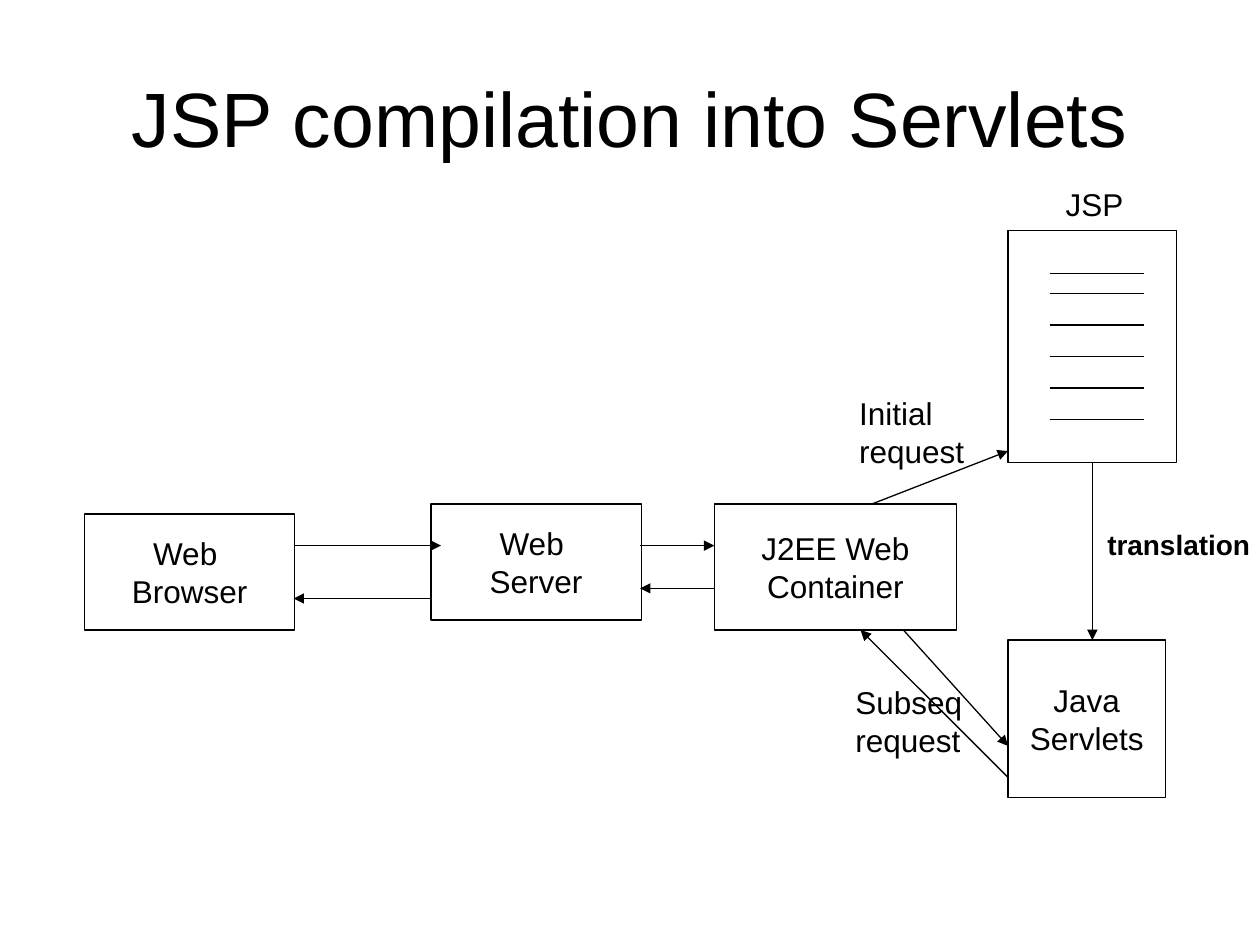
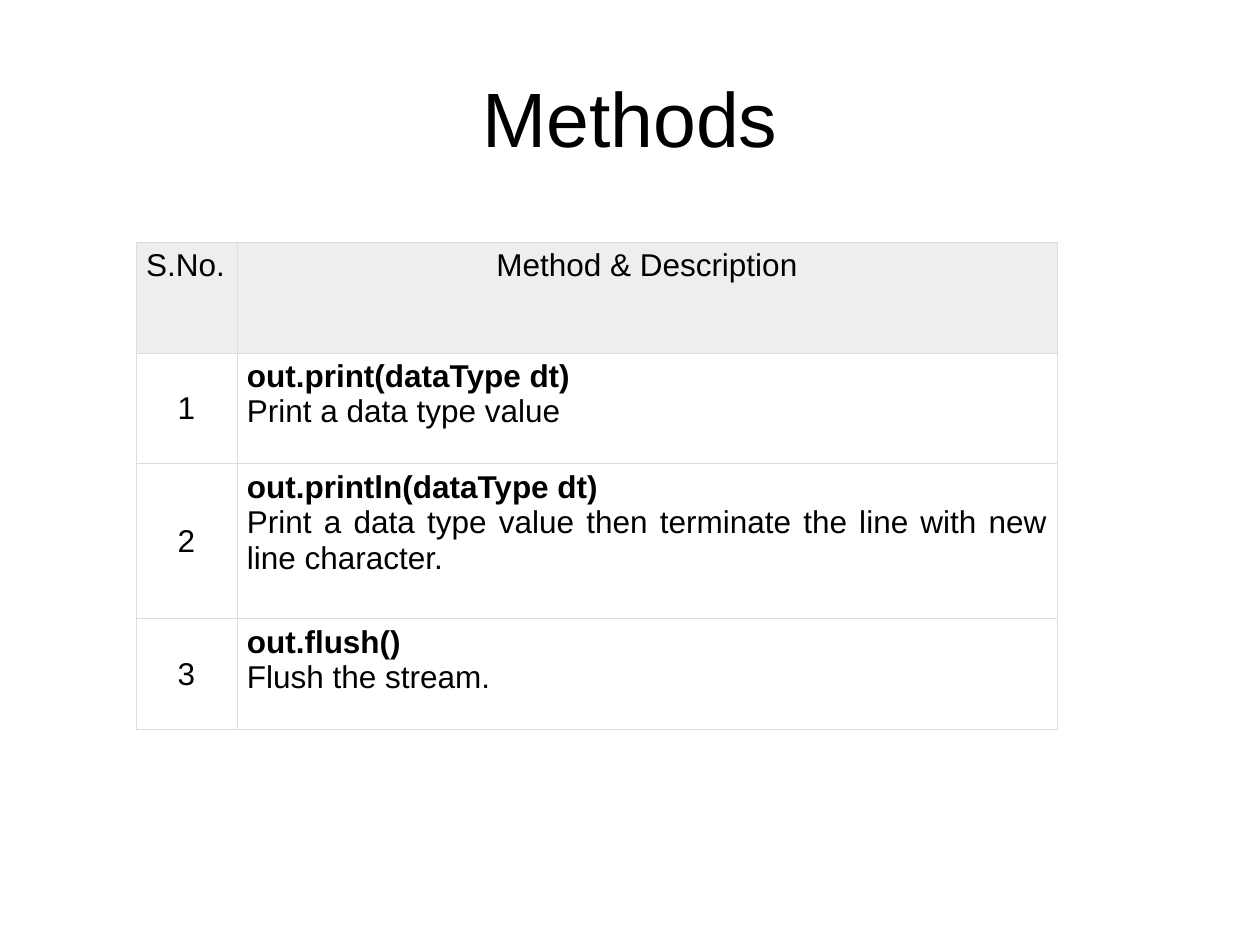
from lxml import etree
from pptx import Presentation
from pptx.dml.color import RGBColor
from pptx.enum import shapes, text
from pptx.oxml.ns import qn
from pptx.util import Inches, Pt

BLACK = RGBColor(0x00, 0x00, 0x00)
HEAD = RGBColor(0xEE, 0xEE, 0xEE)
GRID = RGBColor(0xDD, 0xDD, 0xDD)
FONT = "Arial"
LEFT, MID, JUST = text.PP_ALIGN.LEFT, text.PP_ALIGN.CENTER, text.PP_ALIGN.JUSTIFY

# Boxes: lines of text, then left, top, width, height
BOXES = {
    "browser": (["Web ", "Browser"], (0.67, 4.08, 1.67, 0.92)),
    "server": (["Web ", "Server"], (3.42, 4, 1.67, 0.92)),
    "container": (["J2EE Web", "Container"], (5.67, 4, 1.92, 1)),
    "jsp": ([], (8, 1.83, 1.34, 1.84)),
    "servlets": (["Java", "Servlets"], (8, 5.08, 1.25, 1.25)),
}
# Labels: lines of text, place, size, bold
LABELS = [
    (["JSP"], (8.36, 1.42, 0.66, 0.4), 18, False),
    (["translation"], (8.69, 4.14, 1.33, 0.37), 16, True),
    (["Initial", "request"], (6.72, 3.08, 1.06, 0.7), 18, False),
    (["Subseq", "request"], (6.69, 5.37, 1.06, 0.7), 18, False),
]
# Arrows: from x, y to x, y
ARROWS = [
    (2.33, 4.33, 3.5, 4.33),
    (3.42, 4.75, 2.33, 4.75),
    (5.08, 4.33, 5.67, 4.33),
    (5.67, 4.67, 5.08, 4.67),
    (6.92, 4, 8, 3.58),
    (7.17, 5, 8, 5.92),
    (8, 6.17, 6.83, 5),
]
TRANSLATE = (8.67, 3.67, 8.67, 5.08)
# Lines of writing on the JSP page
PAGE_ROWS = [2.17] + [2.33 + 0.25 * n for n in range(5)]

HEADS = ["S.No.", "Method & Description"]
METHODS = [
    ("out.print(dataType dt)", "Print a data type value"),
    ("out.println(dataType dt)",
     "Print a data type value then terminate the line with new line character."),
    ("out.flush()", "Flush the stream."),
]
COLS = [0.8, 6.51]
ROWS = [0.88, 0.88, 1.23, 0.88]


def write(frame, lines, align, size=18, bold=()):
    """Write one paragraph a line; bold holds the numbers of the bold lines."""
    for n, line in enumerate(lines):
        para = frame.paragraphs[0] if n == 0 else frame.add_paragraph()
        para.alignment = align
        run = para.add_run()
        run.text = line
        font = run.font
        font.name, font.size, font.bold = FONT, Pt(size), n in bold
        font.color.rgb = BLACK


def add_slide(prs, title):
    slide = prs.slides.add_slide(prs.slide_layouts[5])
    head = slide.shapes.title
    head.left, head.top, head.width, head.height = map(Inches, (0.5, 0.3, 9, 1.25))
    head.text_frame.vertical_anchor = text.MSO_ANCHOR.MIDDLE
    write(head.text_frame, [title], MID, 44)
    return slide


def add_box(slide, lines, place):
    box = slide.shapes.add_shape(shapes.MSO_SHAPE.RECTANGLE, *map(Inches, place))
    box.shadow.inherit = False
    box.fill.background()
    box.line.color.rgb = BLACK
    box.line.width = Pt(0.75)
    frame = box.text_frame
    frame.word_wrap = False
    frame.vertical_anchor = text.MSO_ANCHOR.MIDDLE
    write(frame, lines, MID)
    return box


def add_label(slide, lines, place, size, bold):
    frame = slide.shapes.add_textbox(*map(Inches, place)).text_frame
    frame.word_wrap = False
    frame.auto_size = text.MSO_AUTO_SIZE.SHAPE_TO_FIT_TEXT
    write(frame, lines, LEFT, size, range(len(lines)) if bold else ())


def add_line(slide, ends, arrow=False):
    line = slide.shapes.add_connector(shapes.MSO_CONNECTOR.STRAIGHT, *map(Inches, ends))
    line.line.color.rgb = BLACK
    line.line.width = Pt(0.75)
    if arrow:
        etree.SubElement(line.line._get_or_add_ln(), qn("a:tailEnd"), type="triangle")
    etree.SubElement(line._element.spPr, qn("a:effectLst"))
    return line


def add_borders(cell):
    props = cell._tc.get_or_add_tcPr()
    for n, side in enumerate(("a:lnL", "a:lnR", "a:lnT", "a:lnB")):
        edge = etree.Element(qn(side), w=str(Pt(0.34)))
        fill = etree.SubElement(edge, qn("a:solidFill"))
        etree.SubElement(fill, qn("a:srgbClr"), val=str(GRID))
        props.insert(n, edge)


def draw_flow(prs):
    slide = add_slide(prs, "JSP compilation into Servlets")
    boxes = {name: add_box(slide, *data) for name, data in BOXES.items()}
    for y in PAGE_ROWS:
        add_line(slide, (8.33, y, 9.08, y))
    for ends in ARROWS:
        add_line(slide, ends, True)
    add_line(slide, TRANSLATE, True).begin_connect(boxes["jsp"], 2)
    for label in LABELS:
        add_label(slide, *label)


def draw_methods(prs):
    slide = add_slide(prs, "Methods")
    place = (1.08, 1.92, sum(COLS), sum(ROWS))
    table = slide.shapes.add_table(len(ROWS), len(COLS), *map(Inches, place)).table
    table.first_row = table.horz_banding = False
    for col, width in zip(table.columns, COLS):
        col.width = Inches(width)
    for row, height in zip(table.rows, ROWS):
        row.height = Inches(height)
    for cell in table.iter_cells():
        cell.margin_left = cell.margin_right = Inches(0.08)
        cell.margin_top = cell.margin_bottom = Inches(0.05)
        cell.fill.background()
        add_borders(cell)
    for n, (head, align) in enumerate(zip(HEADS, (LEFT, MID))):
        cell = table.cell(0, n)
        cell.fill.solid()
        cell.fill.fore_color.rgb = HEAD
        write(cell.text_frame, [head], align)
    for n, method in enumerate(METHODS, 1):
        number = table.cell(n, 0)
        number.vertical_anchor = text.MSO_ANCHOR.MIDDLE
        write(number.text_frame, [str(n)], MID)
        write(table.cell(n, 1).text_frame, method, JUST, bold=(0,))


def main():
    prs = Presentation()
    prs.slide_width, prs.slide_height = Inches(10), Inches(7.5)
    draw_flow(prs)
    draw_methods(prs)
    prs.save("out.pptx")


if __name__ == "__main__":
    main()
